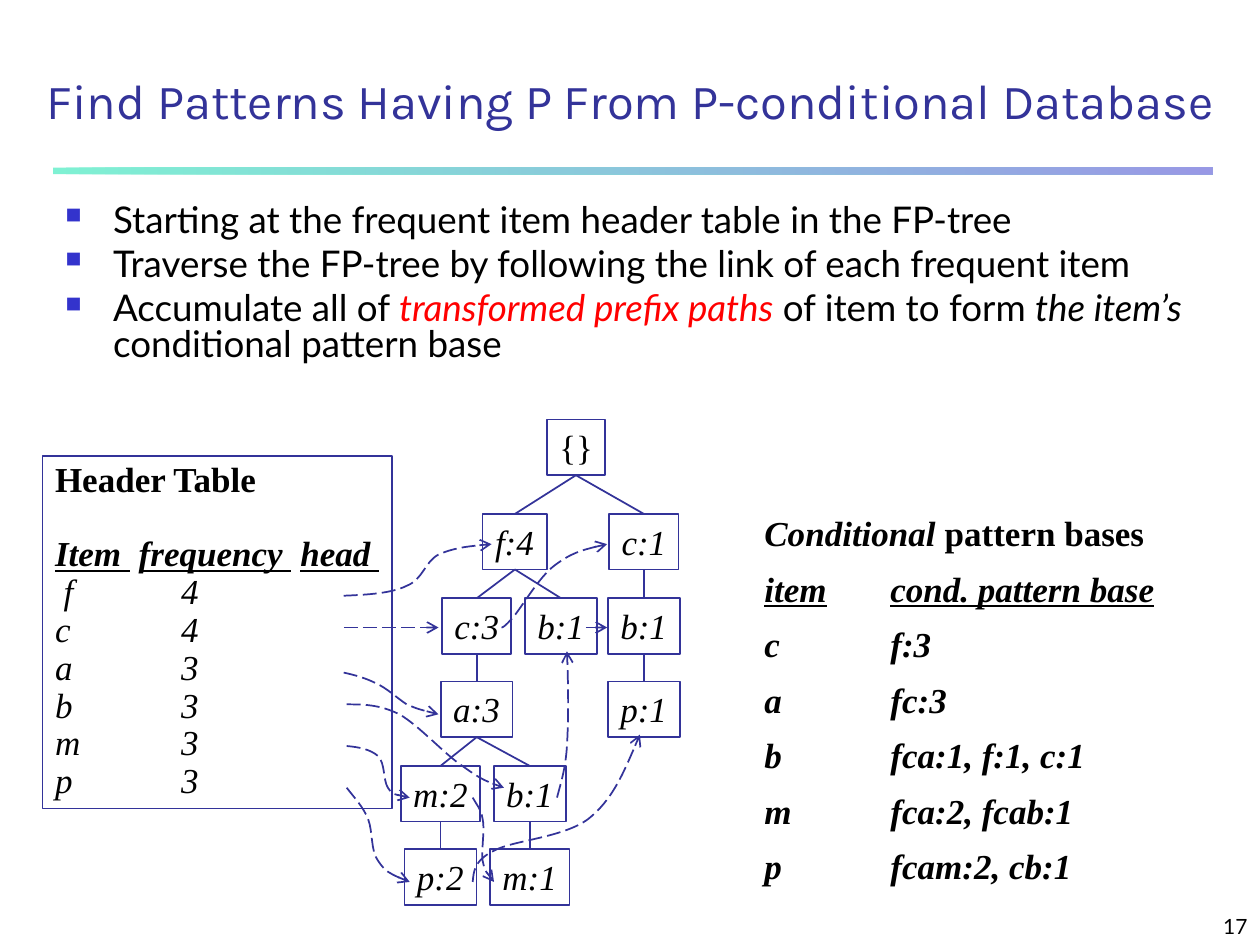
import dataclasses

import lxml.etree
import pptx
import pptx.dml.color
import pptx.enum.dml
import pptx.enum.shapes
import pptx.enum.text
import pptx.oxml.ns
import pptx.util

Cm = pptx.util.Cm
Pt = pptx.util.Pt
SERIF = "Times New Roman"
COLORS = {"ink": "000000", "navy": "333399", "bullet": "3333CC", "mint": "00E4A8", "red": "FF0000"}
ROW_TOPS = (8.46, 10.36, 12.06, 13.74, 15.44, 17.12)
NODE_H = 1.12
TAB = 2.54


@dataclasses.dataclass(frozen=True)
class Node:
    label: str
    x: float
    row: int
    width: float
    parent: int | None = None


NODES = (
    Node("{}", 11.61, 0, 1.17),
    Node("f:4", 10.38, 1, 1.3, 0),
    Node("c:1", 12.98, 1, 1.4, 0),
    Node("c:3", 9.61, 2, 1.4, 1),
    Node("b:1", 11.31, 2, 1.45, 1),
    Node("b:1", 12.98, 2, 1.45, 2),
    Node("a:3", 9.61, 3, 1.45, 3),
    Node("p:1", 12.98, 3, 1.45, 5),
    Node("m:2", 8.88, 4, 1.6, 6),
    Node("b:1", 10.68, 4, 1.45, 6),
    Node("p:2", 8.88, 5, 1.45, 8),
    Node("m:1", 10.68, 5, 1.6, 9),
)

STRAIGHT_LINKS = ((6.93, 8.84), (11.81, 12.24))
CURVED_LINKS = (
    ((6.93, 12.01), (7.42, 11.99), (7.9, 11.96), (8.2, 11.81), (8.53, 11.68),
     (8.56, 11.33), (8.84, 11.18), (9.14, 11.05), (9.53, 11), (9.91, 10.97)),
    ((10.11, 12.65), (10.13, 12.65), (10.16, 12.65), (10.34, 12.45), (10.52, 12.24),
     (10.87, 11.63), (11.18, 11.4), (11.51, 11.15), (11.86, 11.05), (12.24, 10.97)),
    ((6.93, 13.56), (7.16, 13.61), (7.37, 13.67), (7.57, 13.77), (7.8, 13.87),
     (8, 14.07), (8.2, 14.2), (8.43, 14.3), (8.64, 14.35), (8.84, 14.4)),
    ((6.99, 14.2), (7.32, 14.2), (7.65, 14.2), (8.05, 14.4), (8.43, 14.61),
     (8.97, 15.21), (9.32, 15.44), (9.68, 15.7), (9.91, 15.8), (10.16, 15.88)),
    ((11.23, 16.08), (11.3, 15.8), (11.4, 15.52), (11.43, 15.04),
     (11.46, 14.53), (11.46, 13.84), (11.43, 13.13)),
    ((6.99, 15.04), (7.24, 15.06), (7.47, 15.11), (7.62, 15.24), (7.77, 15.39),
     (7.72, 15.72), (7.82, 15.88), (7.92, 16.03), (8.1, 16.05), (8.26, 16.08)),
    ((9.53, 16.08), (9.6, 16.21), (9.7, 16.31), (9.73, 16.51), (9.78, 16.71),
     (9.7, 17.15), (9.73, 17.35), (9.78, 17.58), (9.86, 17.68), (9.96, 17.78)),
    ((6.99, 15.88), (7.14, 16.08), (7.32, 16.26), (7.42, 16.51), (7.52, 16.76),
     (7.47, 17.15), (7.62, 17.35), (7.77, 17.58), (8, 17.68), (8.26, 17.78)),
    ((9.53, 17.78), (9.55, 17.58), (9.55, 17.35), (9.96, 17.15), (10.34, 16.94),
     (11.35, 16.89), (11.86, 16.51), (12.34, 16.13), (12.62, 15.47), (12.9, 14.81)),
)

BULLETS = (
    (("Starting at the frequent item header table in the FP-tree", {}),),
    (("Traverse the FP-tree by following the link of each frequent item", {}),),
    (("Accumulate all of ", {}),
     ("transformed prefix paths", {"color": "red", "italic": True}),
     (" of item to form ", {}),
     ("the item’s", {"italic": True}),
     (" conditional pattern base", {})),
)
HEADER_ROWS = (" f\t4", "c\t4", "a\t3", "b\t3", "m\t3", "p\t3")
PATTERN_ROWS = ("item\tcond. pattern base", "c\tf:3", "a\tfc:3", "b\tfca:1, f:1, c:1",
                "m\tfca:2, fcab:1", "p\tfcam:2, cb:1")


def rgb(name: str) -> pptx.dml.color.RGBColor:
    return pptx.dml.color.RGBColor.from_string(COLORS[name])


def sub(parent, tag: str, **attrs: str):
    return lxml.etree.SubElement(parent, pptx.oxml.ns.qn(tag), attrs)


def add_run(p, text: str, *, size: float = 20, font: str = SERIF, color: str = "ink",
            bold: bool = False, italic: bool = False, underline: bool = False,
            spacing: float = 0) -> None:
    r = p.add_run()
    r.text = text
    f = r.font
    f.size, f.name, f.bold, f.italic, f.underline = Pt(size), font, bold, italic, underline
    f.color.rgb = rgb(color)
    if spacing:
        r._r.get_or_add_rPr().set("spc", str(int(spacing * 100)))


def next_paragraph(tf, spacing: float = 1, before: float = 0, tab: float = 0):
    p = tf.paragraphs[0]
    if p.runs:
        p = tf.add_paragraph()
    p.line_spacing, p.space_before = spacing, Pt(before)
    p.alignment = pptx.enum.text.PP_ALIGN.LEFT
    if tab:
        sub(sub(p._p.get_or_add_pPr(), "a:tabLst"), "a:tab", pos=str(Cm(tab)), algn="l")
    return p


def add_text_box(s, x: float, y: float, w: float, h: float):
    tf = s.shapes.add_textbox(Cm(x), Cm(y), Cm(w), Cm(h)).text_frame
    tf.word_wrap = True
    return tf


def style_line(sp, arrow: bool = False) -> None:
    sp.line.color.rgb = rgb("navy")
    sp.line.width = Pt(1)
    if arrow:
        sp.line.dash_style = pptx.enum.dml.MSO_LINE.LONG_DASH
        sub(sp.line._get_or_add_ln(), "a:tailEnd", type="arrow")


def add_box(s, x: float, y: float, w: float, h: float):
    sp = s.shapes.add_shape(pptx.enum.shapes.MSO_SHAPE.RECTANGLE, Cm(x), Cm(y), Cm(w), Cm(h))
    sp.shadow.inherit = False
    sp.fill.background()
    style_line(sp)
    sp.text_frame.word_wrap = False
    sp.text_frame.vertical_anchor = pptx.enum.text.MSO_ANCHOR.TOP
    return sp


def add_line(s, x1: float, y1: float, x2: float, y2: float, arrow: bool = False) -> None:
    sp = s.shapes.add_connector(pptx.enum.shapes.MSO_CONNECTOR.STRAIGHT,
                                Cm(x1), Cm(y1), Cm(x2), Cm(y2))
    style_line(sp, arrow)
    sub(sp._element.spPr, "a:effectLst")


def add_curve(s, points: tuple[tuple[float, float], ...]) -> None:
    start, *rest = [(Cm(x), Cm(y)) for x, y in points]
    builder = s.shapes.build_freeform(*start)
    builder.add_line_segments(rest, close=False)
    sp = builder.convert_to_shape()
    sp.shadow.inherit = False
    sp.fill.background()
    style_line(sp, arrow=True)
    outline = next(sp._element.iter(pptx.oxml.ns.qn("a:path")))
    segments = outline.findall(pptx.oxml.ns.qn("a:lnTo"))
    for triple in zip(*[iter(segments)] * 3):
        bezier = sub(outline, "a:cubicBezTo")
        for segment in triple:
            bezier.append(segment[0])
            outline.remove(segment)


def add_tree(s) -> None:
    for node in NODES:
        top = ROW_TOPS[node.row]
        sp = add_box(s, node.x - node.width / 2, top, node.width, NODE_H)
        add_run(next_paragraph(sp.text_frame), node.label, italic=node.parent is not None)
        if node.parent is not None:
            parent = NODES[node.parent]
            add_line(s, parent.x, ROW_TOPS[parent.row] + NODE_H, node.x, top)


def add_rule(s) -> None:
    sp = add_box(s, 1.07, 3.38, 23.37, 0.13)
    sp.line.fill.background()
    sp.fill.gradient()
    sp.fill.gradient_angle = 0
    for stop, color in zip(sp.fill.gradient_stops, ("mint", "bullet")):
        stop.color.rgb = rgb(color)
    for clr in sp._element.spPr.iter(pptx.oxml.ns.qn("a:srgbClr")):
        sub(clr, "a:alpha", val="50000")


def add_bullets(s) -> None:
    tf = add_text_box(s, 1.07, 4.01, 23.29, 4.24)
    for runs in BULLETS:
        p = next_paragraph(tf, 0.8, 5.2)
        pPr = p._p.get_or_add_pPr()
        pPr.set("marL", str(Cm(0.96)))
        pPr.set("indent", str(Cm(-0.96)))
        sub(sub(pPr, "a:buClr"), "a:srgbClr", val=COLORS["bullet"])
        sub(pPr, "a:buSzPct", val="60000")
        sub(pPr, "a:buChar", char="■")
        for text, fmt in runs:
            add_run(p, text, size=21, font="Lato", **fmt)


def add_header_table(s) -> None:
    tf = add_box(s, 0.86, 9.19, 7.04, 7.11).text_frame
    add_run(next_paragraph(tf, 0.9), "Header Table", bold=True)
    p = next_paragraph(tf, 0.9, 21)
    for text, gap in (("Item", 0), (" ", 5), ("frequency", 0), (" ", 5), ("head ", 0)):
        add_run(p, text, bold=True, italic=True, underline=True, spacing=gap)
    for row in HEADER_ROWS:
        add_run(next_paragraph(tf, 0.9, tab=TAB), row, italic=True)


def add_pattern_bases(s) -> None:
    tf = add_text_box(s, 15.16, 10.19, 9.25, 7.82)
    p = next_paragraph(tf, 1, 12.5)
    add_run(p, "Conditional ", bold=True, italic=True)
    add_run(p, "pattern bases", bold=True)
    for i, row in enumerate(PATTERN_ROWS):
        add_run(next_paragraph(tf, 0.8, 12.5, TAB), row, bold=True, italic=True, underline=i == 0)


def main() -> None:
    prs = pptx.Presentation()
    prs.slide_width, prs.slide_height = Cm(25.4), Cm(19.05)
    s = prs.slides.add_slide(prs.slide_layouts[5])
    title = s.shapes.title
    title.left, title.top, title.width, title.height = Cm(0), Cm(0.84), Cm(25.4), Cm(1.9)
    title.text_frame.vertical_anchor = pptx.enum.text.MSO_ANCHOR.BOTTOM
    p = next_paragraph(title.text_frame, 0.9)
    p.alignment = pptx.enum.text.PP_ALIGN.CENTER
    add_run(p, "Find Patterns Having P From P-conditional Database", size=28, font="Karla", color="navy")
    add_rule(s)
    add_bullets(s)
    add_pattern_bases(s)
    add_tree(s)
    add_header_table(s)
    for x1, x2 in STRAIGHT_LINKS:
        add_line(s, x1, 12.65, x2, 12.65, arrow=True)
    for points in CURVED_LINKS:
        add_curve(s, points)
    tf = add_text_box(s, 20.12, 17.98, 5.28, 1.07)
    tf.vertical_anchor = pptx.enum.text.MSO_ANCHOR.BOTTOM
    p = next_paragraph(tf)
    p.alignment = pptx.enum.text.PP_ALIGN.RIGHT
    add_run(p, "17", size=12, font="Lato")
    prs.save("out.pptx")


if __name__ == "__main__":
    main()
